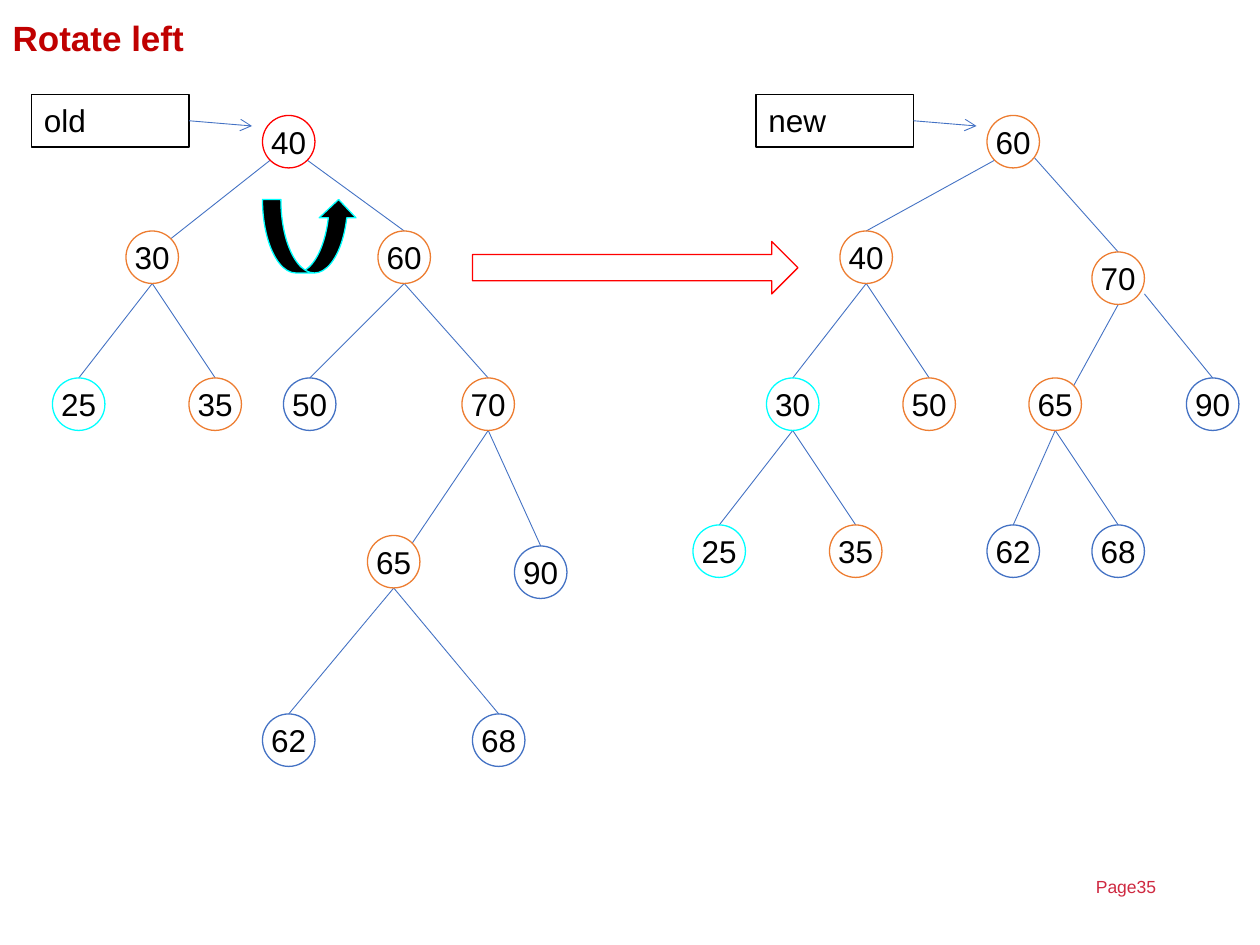
from lxml.etree import SubElement
from pptx import Presentation
from pptx.dml.color import RGBColor
from pptx.enum.shapes import MSO_CONNECTOR, MSO_SHAPE
from pptx.enum.text import MSO_ANCHOR, MSO_AUTO_SIZE, PP_ALIGN
from pptx.oxml.ns import qn
from pptx.util import Inches, Pt

# The page is a grid of 120 columns by 90 rows
CELL = Inches(10) // 120
NODE = 5
RED, ORANGE, CYAN, BLUE = "FF0000", "ED7D31", "00FFFF", "4472C4"
BLACK, WHITE = "000000", "FFFFFF"

# Points on a node where a branch may touch it, as shares of its box
SITES = {"top": (0.5, 0), "bottom": (0.5, 1), "lower left": (0.15, 0.85),
         "lower right": (0.85, 0.85), "upper right": (0.85, 0.15),
         "shoulder": (0.9, 0.8), "right": (1, 0.8)}

# Trees: name -> (column, row, colour), columns counted from the region's left
OLD_NODES = {
    "40": (25, 11, RED), "30": (12, 22, ORANGE), "60": (36, 22, ORANGE),
    "25": (5, 36, CYAN), "35": (18, 36, ORANGE), "50": (27, 36, BLUE),
    "70": (44, 36, ORANGE), "65": (35, 51, ORANGE), "90": (49, 52, BLUE),
    "62": (25, 68, BLUE), "68": (45, 68, BLUE)}
OLD_BRANCHES = [
    ("40", "30", "lower left", "upper right"), ("40", "60", "lower right"),
    ("30", "25"), ("30", "35"), ("60", "50"), ("60", "70"),
    ("70", "65", "bottom", "upper right"), ("70", "90"),
    ("65", "62"), ("65", "68")]
NEW_NODES = {
    "60": (25, 11, ORANGE), "40": (11, 22, ORANGE), "70": (35, 24, ORANGE),
    "30": (4, 36, CYAN), "50": (17, 36, ORANGE), "65": (29, 36, ORANGE),
    "90": (44, 36, BLUE), "25": (-3, 50, CYAN), "35": (10, 50, ORANGE),
    "62": (25, 50, BLUE), "68": (35, 50, BLUE)}
NEW_BRANCHES = [
    ("60", "40", "lower left"), ("60", "70", "shoulder"),
    ("40", "30"), ("40", "50"), ("30", "25"), ("30", "35"),
    ("70", "65", "bottom", "upper right"), ("70", "90", "right"),
    ("65", "62"), ("65", "68")]


def cells(*counts):
    return [round(count * CELL) for count in counts]


def colour(value):
    return RGBColor.from_string(value)


def write(shape, text, size, text_colour, bold=False, align=PP_ALIGN.LEFT):
    para = shape.text_frame.paragraphs[0]
    para.alignment = align
    span = para.add_run()
    span.text = text
    span.font.name = "Arial"
    span.font.size = Pt(size)
    span.font.bold = bold
    span.font.color.rgb = colour(text_colour)


def add_figure(page, kind, box, line, fill=None, width=0.75):
    shape = page.shapes.add_shape(kind, *cells(*box))
    shape.shadow.inherit = False
    if fill:
        shape.fill.solid()
        shape.fill.fore_color.rgb = colour(fill)
    else:
        shape.fill.background()
    shape.line.color.rgb = colour(line)
    shape.line.width = Pt(width)
    return shape


def add_line(page, start, end, arrow=False):
    line = page.shapes.add_connector(MSO_CONNECTOR.STRAIGHT, *cells(*start, *end))
    line.line.color.rgb = colour(BLUE)
    line.line.width = Pt(0.5)
    if arrow:
        SubElement(line.line._get_or_add_ln(), qn("a:tailEnd"), type="arrow")
    SubElement(line._element.spPr, qn("a:effectLst"))


def add_node(page, column, row, name, line):
    node = add_figure(page, MSO_SHAPE.OVAL, (column, row, NODE, NODE), line)
    frame = node.text_frame
    frame.word_wrap = False
    frame.vertical_anchor = MSO_ANCHOR.MIDDLE
    write(node, name, 18, BLACK, align=PP_ALIGN.CENTER)


def add_tree(page, left, label, nodes, branches):
    """Place a labelled tree whose region starts at column `left`."""
    def site(name, place):
        column, row, _ = nodes[name]
        across, down = SITES[place]
        return left + column + across * NODE, row + down * NODE

    for parent, child, *places in branches:
        leave, arrive = (places + ["bottom", "top"][len(places):])
        add_line(page, site(parent, leave), site(child, arrive))
    for name, (column, row, line) in nodes.items():
        add_node(page, left + column, row, name, line)

    # Label with its pointer to the root
    tag = add_figure(page, MSO_SHAPE.RECTANGLE, (left + 3, 9, 15, 5), BLACK, WHITE, 1)
    tag.text_frame.word_wrap = True
    tag.text_frame.vertical_anchor = MSO_ANCHOR.TOP
    write(tag, label, 18, BLACK)
    add_line(page, (left + 18, 11.5), (left + 24, 12), arrow=True)


def add_rotation_arrows(page):
    add_figure(page, MSO_SHAPE.CURVED_UP_ARROW, (25, 19, 9, 7), CYAN, BLACK)
    add_figure(page, MSO_SHAPE.RIGHT_ARROW, (45, 23, 31, 5), RED)


def add_title(page, text, box):
    title = page.shapes.title
    title.left, title.top, title.width, title.height = cells(*box)
    title.text_frame.auto_size = MSO_AUTO_SIZE.NONE
    title.text_frame.vertical_anchor = MSO_ANCHOR.TOP
    write(title, text, 20, "C00000", bold=True)


def add_page_number(page, text, box):
    number = page.shapes.add_textbox(*cells(*box))
    number.text_frame.word_wrap = True
    write(number, text, 10, "CF2941")


def main():
    deck = Presentation()
    deck.slide_width, deck.slide_height = cells(120, 90)
    page = deck.slides.add_slide(deck.slide_layouts[5])
    add_title(page, "Rotate left", (0, 1, 117, 5.25))
    add_tree(page, 0, "old", OLD_NODES, OLD_BRANCHES)
    add_rotation_arrows(page)
    add_tree(page, 69, "new", NEW_NODES, NEW_BRANCHES)
    add_page_number(page, "Page35", (103.2, 82.8, 14.4, 3.3))
    deck.save("out.pptx")


if __name__ == "__main__":
    main()
